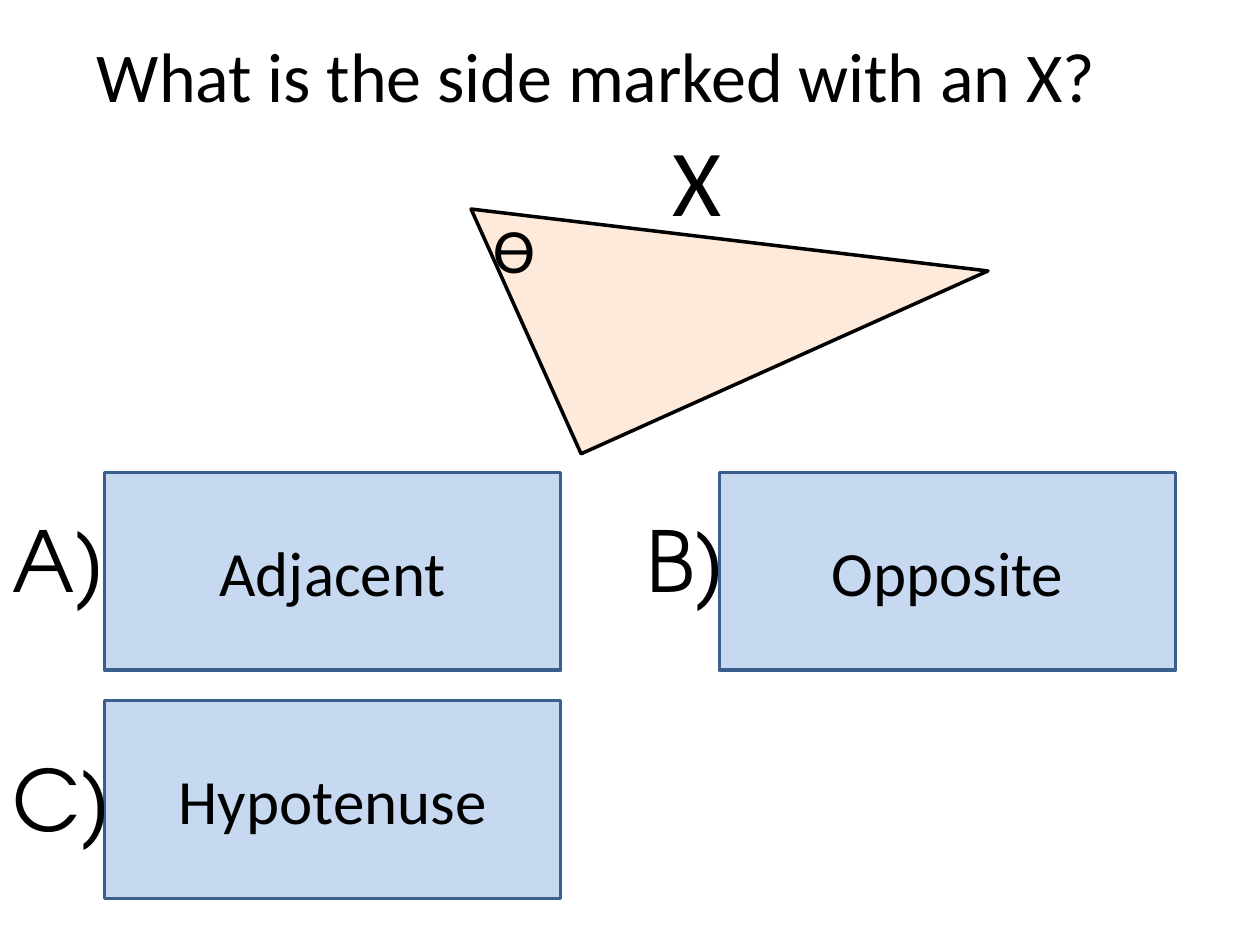
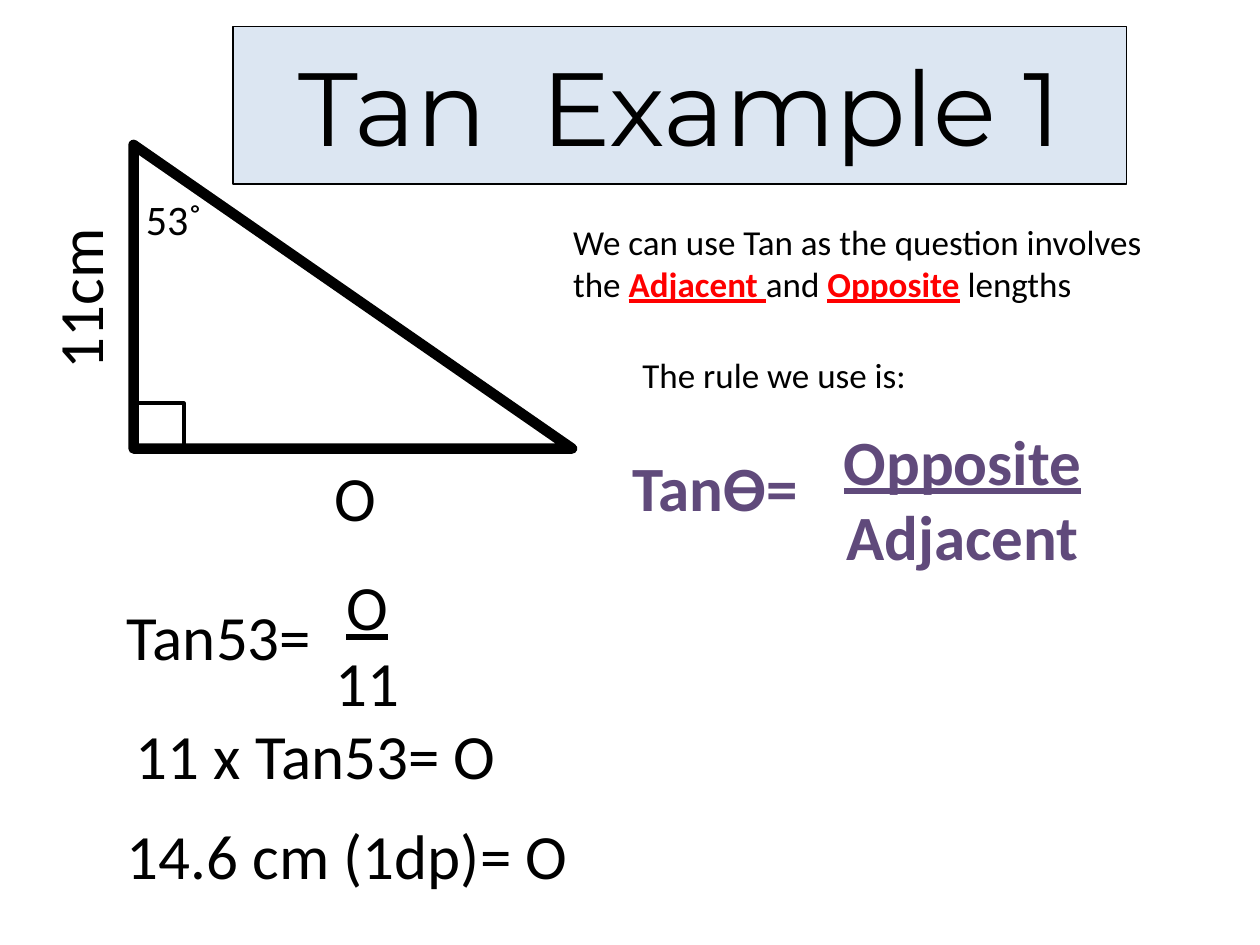
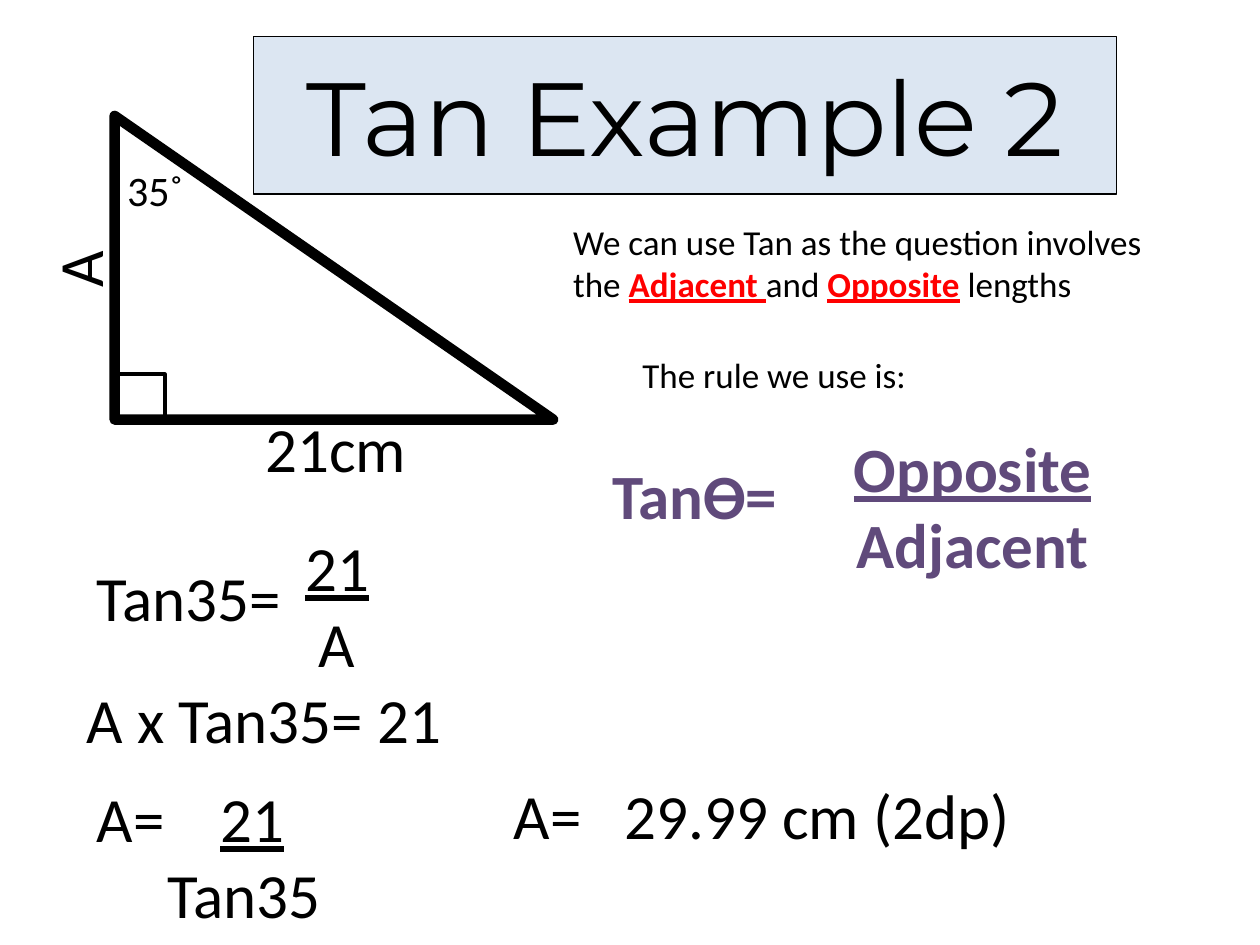
from pptx import Presentation
from pptx.dml.color import RGBColor
from pptx.enum.shapes import MSO_SHAPE
from pptx.enum.text import MSO_ANCHOR, MSO_AUTO_SIZE, PP_ALIGN
from pptx.oxml.ns import qn
from pptx.util import Inches, Pt
from lxml.etree import SubElement

# Grid: 100 columns by 75 rows of square cells
SLIDE_WIDTH, SLIDE_HEIGHT = Inches(10), Inches(7.5)
CELL = SLIDE_WIDTH // 100

# Shared style
BODY, TITLE, LETTER = "Calibri", "Montserrat", "TeX Gyre Adventor"
BLACK, RED, PURPLE = "000000", "FF0000", "604A7B"
ANSWER_FILL, ANSWER_LINE = "C6D9F1", "3A5F8C"
TITLE_FILL, PEACH = "DCE6F2", "FDEADA"
TITLE_SIZE, LARGE, SMALL = 59.4, 36, 20
LINE_ROWS, FRACTION_ROWS = 7.1, 13.1


def color(value):
    return RGBColor.from_string(value)


def grid(*cells):
    return [round(cell * CELL) for cell in cells]


def add_span(para, text, size=LARGE, font=BODY, ink=BLACK, bold=False,
             underline=False, spacing=0):
    span = para.add_run()
    span.text = text
    span.font.size = Pt(size)
    span.font.name = font
    span.font.color.rgb = color(ink)
    span.font.bold = bold
    span.font.underline = underline
    if spacing:
        span.font._element.set("spc", str(round(spacing * 100)))


def write(frame, paragraphs, align=PP_ALIGN.LEFT, indent=0, tab=0, **style):
    """Each paragraph is a string or a list of (text, format) spans.
    The indent moves every paragraph after the first."""
    if isinstance(paragraphs, str):
        paragraphs = [paragraphs]
    for index, spans in enumerate(paragraphs):
        para = frame.paragraphs[0] if index == 0 else frame.add_paragraph()
        para.alignment = align
        properties = para._p.get_or_add_pPr()
        if indent and index:
            properties.set("marL", str(grid(indent)[0]))
        if tab and index == 0:
            stops = SubElement(properties, qn("a:tabLst"))
            SubElement(stops, qn("a:tab"), pos=str(grid(tab)[0]), algn="l")
        if isinstance(spans, str):
            spans = [(spans, {})]
        for text, extra in spans:
            add_span(para, text, **{**style, **extra})


def add_text(page, place, paragraphs, wrap=True, rotation=0, **style):
    box = page.shapes.add_textbox(*grid(*place))
    box.rotation = rotation
    box.text_frame.word_wrap = wrap
    box.text_frame.auto_size = MSO_AUTO_SIZE.SHAPE_TO_FIT_TEXT
    write(box.text_frame, paragraphs, **style)


def add_figure(page, preset, place, fill=None, line=BLACK, weight=2, rotation=0):
    figure = page.shapes.add_shape(preset, *grid(*place))
    figure.shadow.inherit = False
    figure.rotation = rotation
    if fill:
        figure.fill.solid()
        figure.fill.fore_color.rgb = color(fill)
    else:
        figure.fill.background()
    figure.line.color.rgb = color(line)
    figure.line.width = Pt(weight)
    return figure


def add_panel(page, place, text, fill, line, weight, **style):
    panel = add_figure(page, MSO_SHAPE.RECTANGLE, place, fill, line, weight)
    panel.text_frame.word_wrap = True
    panel.text_frame.vertical_anchor = MSO_ANCHOR.MIDDLE
    write(panel.text_frame, text, align=PP_ALIGN.CENTER, **style)


def add_right_triangle(page, left, top, angle):
    group = page.shapes.add_group_shape()

    class_parts = (
        (MSO_SHAPE.RIGHT_TRIANGLE, (left, top, 34.8, 24.1), 6),
        (MSO_SHAPE.RECTANGLE, (left, top + 20.5, 4, 3.6), 2),
    )
    for preset, place, weight in class_parts:
        add_figure(group, preset, place, weight=weight)
    add_text(group, (left, top + 3.35, 6.5, 5), angle, wrap=False, size=24)


def add_fraction(page, left, top, width, upper, lower, **style):
    add_text(page, (left, top, width, FRACTION_ROWS),
             [[(upper, {"underline": True})], lower],
             align=PP_ALIGN.CENTER, **style)


def add_answer(page, index, letter, letter_width, answer):
    row, column = divmod(index, 2)
    add_panel(page, (8.3 + 48.8 * column, 37.5 + 18.1 * row, 36.2, 15.7),
              answer, ANSWER_FILL, ANSWER_LINE, 2)
    add_text(page, (50.3 * column, 39.9 + 18.9 * row, letter_width, 9.1),
             letter, wrap=False, size=48, font=LETTER)


def new_page(deck):
    return deck.slides.add_slide(deck.slide_layouts[6])


def quiz_page(deck):
    page = new_page(deck)
    answers = (("A)", 9.5, "Adjacent"), ("B)", 8.4, "Opposite"),
               ("C)", 10, "Hypotenuse"))
    for index, answer in enumerate(answers):
        add_answer(page, index, *answer)
    add_figure(page, MSO_SHAPE.RIGHT_TRIANGLE, (40.2, 8.4, 35.4, 21.3),
               fill=PEACH, rotation=335.8)
    add_text(page, (38.2, 16.2, 5.4, LINE_ROWS), "ϴ", wrap=False)
    add_text(page, (52.4, 9.2, 5.9, 10.1), "X", wrap=False, size=54)
    add_text(page, (6.7, 2.1, 85.8, 7.7),
             "What is the side marked with an X?", size=40)


def example_page(deck, title, title_place, triangle, angle, rule, rule_fraction,
                 equation, ratio):
    """Parts that every worked example has; returns the page."""
    page = new_page(deck)
    add_panel(page, title_place, title, TITLE_FILL, BLACK, 0.75,
              size=TITLE_SIZE, font=TITLE)
    add_right_triangle(page, *triangle, f"{angle}˚")

    # Why tan applies, and its rule
    key = {"ink": RED, "bold": True, "underline": True}
    add_text(page, (44.5, 17, 51.2, 7.7), [[
        ("We can use Tan as the question involves the ", {}),
        ("Adjacent ", key), ("and ", {}), ("Opposite", key),
        (" lengths", {})]], size=SMALL)
    add_text(page, (50, 27.6, 45.7, 4.4), "The rule we use is:", size=SMALL)
    left, top = rule
    add_text(page, (left, top, 18, LINE_ROWS), "Tanϴ=", ink=PURPLE, bold=True)
    add_fraction(page, rule_fraction, top - 2.1, 27.6, "Opposite", "Adjacent",
                 ink=PURPLE, bold=True)

    # Values put into the rule
    left, top = equation
    add_text(page, (left, top, 17.3, LINE_ROWS), f"Tan{angle}=")
    add_fraction(page, left + 16.5, top - 2.35, 7.1, *ratio)
    return page


def opposite_page(deck):
    title = [[("Tan", {}), (" ", {"spacing": 15.6}), ("Example 1", {})]]
    page = example_page(deck, title, (18.5, 2.1, 70.9, 12.5),
                        triangle=(10.6, 11.5), angle=53,
                        rule=(49.2, 35.1), rule_fraction=62.6,
                        equation=(9.1, 46.9), ratio=("O", "11"))
    add_text(page, (25.6, 35.9, 5.4, LINE_ROWS), "O", wrap=False)
    add_text(page, (-0.4, 20.1, 13.3, LINE_ROWS), "11cm", wrap=False, rotation=270)
    add_text(page, (9.8, 56.4, 33.1, LINE_ROWS), "11 x Tan53= O")
    add_text(page, (9.1, 64.3, 52, LINE_ROWS), "14.6 cm (1dp)= O")


def adjacent_page(deck):
    page = example_page(deck, "Tan Example 2", (20.1, 2.9, 68.5, 12.5),
                        triangle=(9.1, 9.2), angle=35,
                        rule=(47.6, 35.7), rule_fraction=63.4,
                        equation=(6.7, 43.8), ratio=("21", "A"))
    add_text(page, (3.8, 17.8, 4.9, LINE_ROWS), "A", wrap=False, rotation=270)
    add_text(page, (20.1, 32, 13.3, LINE_ROWS), "21cm", wrap=False)
    add_text(page, (5.9, 53.5, 33.1, LINE_ROWS), "A x Tan35= 21")
    add_text(page, (6.7, 61.4, 21.3, FRACTION_ROWS),
             [[("A=\t", {}), ("21", {"underline": True})], "Tan35"],
             tab=9.8, indent=5.6)
    add_text(page, (39.8, 61.1, 45.7, LINE_ROWS), "A=\t29.99 cm (2dp)", tab=8.8)


def main():
    deck = Presentation()
    deck.slide_width, deck.slide_height = SLIDE_WIDTH, SLIDE_HEIGHT
    quiz_page(deck)
    opposite_page(deck)
    adjacent_page(deck)
    deck.save("out.pptx")


if __name__ == "__main__":
    main()
